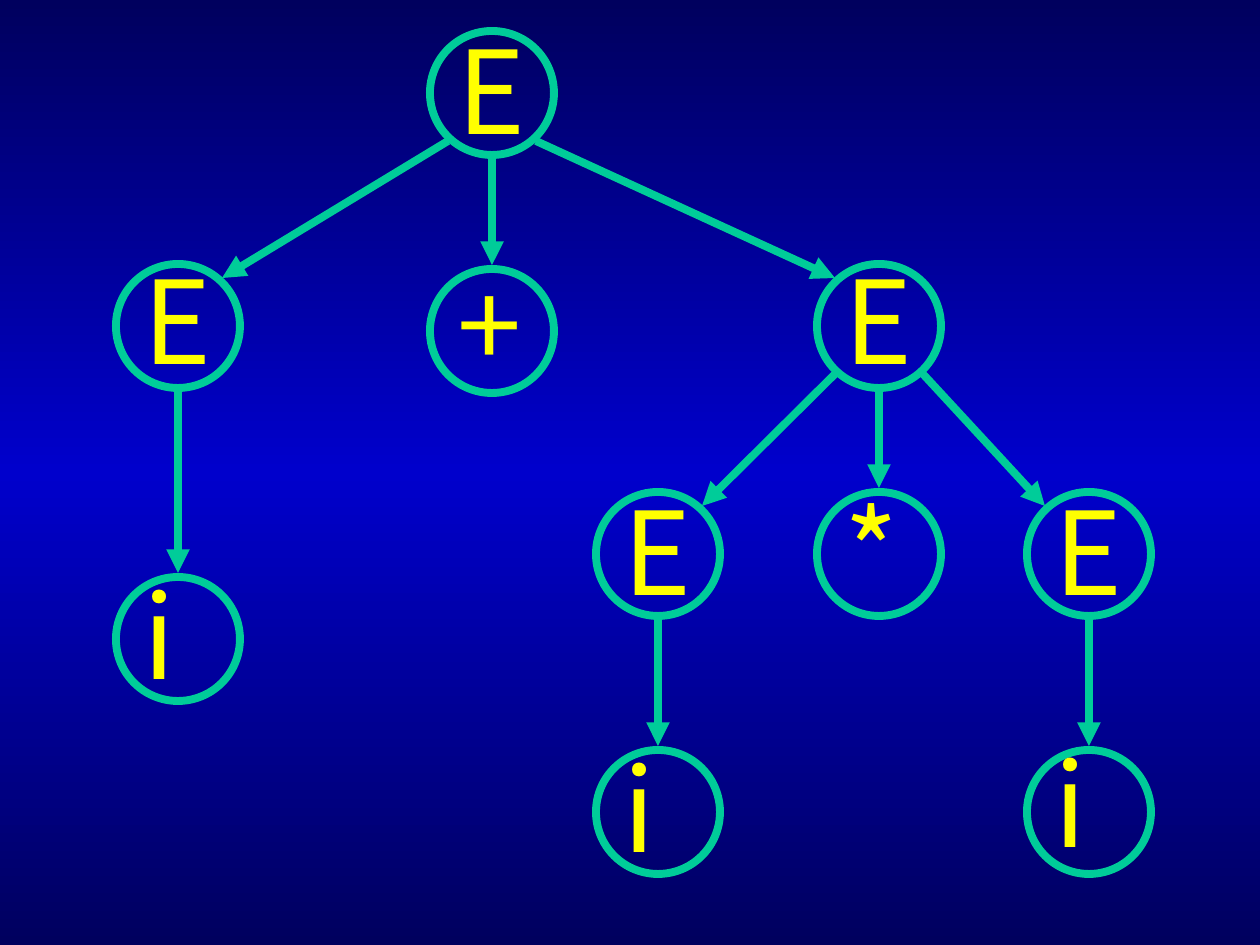
"""Build a slide showing the parse tree of an arithmetic expression."""
import copy

import pptx
import pptx.dml.color
import pptx.enum.shapes
import pptx.enum.text
import pptx.oxml.ns
import pptx.oxml.xmlchemy
import pptx.util

SCALE = 914400 / 126
GREEN = pptx.dml.color.RGBColor(0x00, 0xCC, 0x99)
YELLOW = pptx.dml.color.RGBColor(0xFF, 0xFF, 0x00)
NAVY = pptx.dml.color.RGBColor(0x00, 0x00, 0x5E)
BLUE = pptx.dml.color.RGBColor(0x00, 0x00, 0xCC)
FONT = "Noto Sans CJK SC"
DIAMETER = 124
LABEL_WIDTH, LABEL_HEIGHT = 94, 151
DIAGONAL_X, DIAGONAL_Y, VERTICAL_Y = 44, 48, 66

NODES = {
    "root": ("E", 492, 93, 13),
    "left": ("E", 178, 326, 243),
    "left leaf": ("i", 178, 639, 558),
    "plus": ("+", 492, 331, 247),
    "right": ("E", 879, 326, 243),
    "first factor": ("E", 658, 554, 474),
    "second factor": ("E", 1089, 554, 474),
    "times": ("*", 879, 554, 474),
    "second leaf": ("i", 1089, 812, 726),
    "first leaf": ("i", 658, 812, 731),
}
EDGES = [
    ("root", "left"),
    ("left", "left leaf"),
    ("root", "plus"),
    ("root", "right"),
    ("right", "times"),
    ("right", "first factor"),
    ("right", "second factor"),
    ("first factor", "first leaf"),
    ("second factor", "second leaf"),
]


def px(*lengths):
    return [pptx.util.Emu(round(length * SCALE)) for length in lengths]


presentation = pptx.Presentation()
presentation.slide_width, presentation.slide_height = px(1260, 945)
slide = presentation.slides.add_slide(presentation.slide_layouts[6])

background = slide.background.fill
background.gradient()
background.gradient_angle = 90
stop_list = slide.element.xpath(".//a:gsLst")[0]
stop_list.append(copy.deepcopy(stop_list[-1]))
for stop, position, color in zip(background.gradient_stops, (0, 0.5, 1), (NAVY, BLUE, NAVY)):
    stop.position = position
    stop.color.rgb = color

tree = slide.shapes.add_group_shape().shapes

for label, x, y, label_top in NODES.values():
    circle = tree.add_shape(
        pptx.enum.shapes.MSO_SHAPE.OVAL,
        *px(x - DIAMETER / 2, y - DIAMETER / 2, DIAMETER, DIAMETER),
    )
    circle.shadow.inherit = False
    circle.fill.background()
    circle.line.color.rgb = GREEN
    circle.line.width = pptx.util.Pt(4.5)

for parent, child in EDGES:
    parent_x, parent_y = NODES[parent][1:3]
    child_x, child_y = NODES[child][1:3]
    side = (child_x > parent_x) - (child_x < parent_x)
    offset_x = side * DIAGONAL_X
    offset_y = DIAGONAL_Y if side else VERTICAL_Y
    arrow = tree.add_connector(
        pptx.enum.shapes.MSO_CONNECTOR.STRAIGHT,
        *px(parent_x + offset_x, parent_y + offset_y, child_x - offset_x, child_y - offset_y),
    )
    arrow.line.color.rgb = GREEN
    arrow.line.width = pptx.util.Pt(4.5)
    tail = pptx.oxml.xmlchemy.OxmlElement("a:tailEnd")
    tail.set("type", "triangle")
    arrow.line._get_or_add_ln().append(tail)
    arrow.element.spPr.append(pptx.oxml.xmlchemy.OxmlElement("a:effectLst"))

for label, x, y, label_top in NODES.values():
    box = tree.add_textbox(*px(x - LABEL_WIDTH / 2, label_top, LABEL_WIDTH, LABEL_HEIGHT))
    text_frame = box.text_frame
    text_frame.word_wrap = False
    text_frame.auto_size = pptx.enum.text.MSO_AUTO_SIZE.SHAPE_TO_FIT_TEXT
    text_frame.text = label
    font = text_frame.paragraphs[0].runs[0].font
    font.name = FONT
    font.size = pptx.util.Pt(66)
    font.color.rgb = YELLOW

presentation.save("out.pptx")
